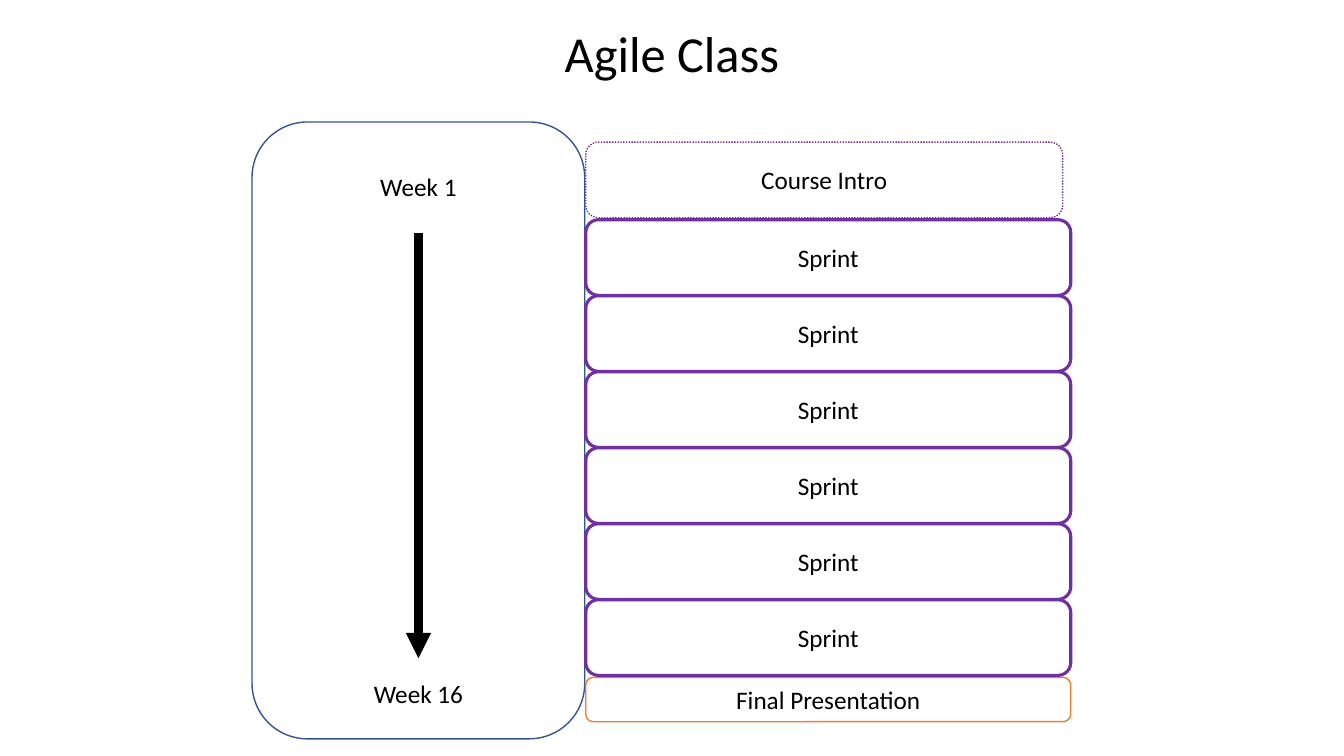
from lxml import etree
from pptx import Presentation
from pptx.dml.color import RGBColor
from pptx.enum.dml import MSO_LINE
from pptx.enum.shapes import MSO_CONNECTOR, MSO_SHAPE
from pptx.enum.text import MSO_ANCHOR, PP_ALIGN
from pptx.oxml.ns import qn
from pptx.util import Inches, Pt

ROUNDED = MSO_SHAPE.ROUNDED_RECTANGLE
RECTANGLE = MSO_SHAPE.RECTANGLE
STRAIGHT = MSO_CONNECTOR.STRAIGHT
DOTTED = MSO_LINE.ROUND_DOT
CENTER = PP_ALIGN.CENTER
TOP = MSO_ANCHOR.TOP
MIDDLE = MSO_ANCHOR.MIDDLE

COLORS = {
    "white": "FFFFFF",
    "black": "000000",
    "timeline": "325491",
    "sprint": "7030A0",
    "final": "ED7D31",
}
SPRINT_COUNT = 6
SPRINT_PITCH = 0.754
SPRINT_HEIGHT = 0.75


def color(name):
    return RGBColor.from_string(COLORS[name])


def write_text(shape, text, size=18, anchor=MIDDLE):
    frame = shape.text_frame
    frame.word_wrap = True
    frame.vertical_anchor = anchor
    paragraph = frame.paragraphs[0]
    paragraph.text = text
    paragraph.alignment = CENTER
    font_format = {"name": "Calibri", "size": Pt(size), "bold": False}
    for attribute, value in font_format.items():
        setattr(paragraph.font, attribute, value)
    paragraph.font.color.rgb = color("black")


def add_box(slide, kind, box, fill=None, line=None, width=1, dash=None):
    shape = slide.shapes.add_shape(kind, *map(Inches, box))
    shape.shadow.inherit = False
    if fill:
        shape.fill.solid()
        shape.fill.fore_color.rgb = color(fill)
    else:
        shape.fill.background()
    if line:
        shape.line.color.rgb = color(line)
        shape.line.width = Pt(width)
        if dash:
            shape.line.dash_style = dash
    else:
        shape.line.fill.background()
    return shape


def add_title(slide, box):
    title = slide.shapes.title
    for attribute, value in zip(("left", "top", "width", "height"), box):
        setattr(title, attribute, Inches(value))
    write_text(title, "Agile Class", size=36, anchor=TOP)


def add_arrow(slide, x, top, bottom):
    arrow = slide.shapes.add_connector(
        STRAIGHT, Inches(x), Inches(top), Inches(x), Inches(bottom)
    )
    arrow.line.color.rgb = color("black")
    arrow.line.width = Pt(6)
    line = arrow.line._get_or_add_ln()
    etree.SubElement(line, qn("a:tailEnd"), type="triangle")
    etree.SubElement(arrow._element.spPr, qn("a:effectLst"))


def add_timeline(slide, box):
    left, top, width, height = box
    add_box(slide, ROUNDED, box, line="timeline")
    label_width, label_height = 2.71, 0.4
    label_left = left + (width - label_width) / 2
    labels = {"Week 1": top + 0.44, "Week 16": top + height - 0.65}
    for text, label_top in labels.items():
        label_box = (label_left, label_top, label_width, label_height)
        label = add_box(slide, RECTANGLE, label_box, fill="white")
        write_text(label, text, anchor=TOP)
    add_arrow(slide, left + width / 2, top + 1.1, top + height - 0.8)


def add_schedule(slide, box):
    left, top, width, height = box
    final_height = 0.44
    final_box = (left, top + height - final_height, width, final_height)
    final = add_box(slide, ROUNDED, final_box, "white", "final")
    write_text(final, "Final Presentation")

    intro_box = (left, top, width - 0.08, SPRINT_HEIGHT)
    intro = add_box(slide, ROUNDED, intro_box, "white", "sprint", dash=DOTTED)
    write_text(intro, "Course Intro")

    for index in range(SPRINT_COUNT):
        sprint_top = top + 0.77 + index * SPRINT_PITCH
        sprint_box = (left, sprint_top, width, SPRINT_HEIGHT)
        sprint = add_box(slide, ROUNDED, sprint_box, "white", "sprint", 2.25)
        write_text(sprint, "Sprint")


def main():
    presentation = Presentation()
    presentation.slide_width = Inches(13.33)
    presentation.slide_height = Inches(7.5)
    slide = presentation.slides.add_slide(presentation.slide_layouts[5])
    add_title(slide, (2, 0.17, 9.33, 0.71))
    add_timeline(slide, (2.5, 1.21, 3.3, 6.12))
    add_schedule(slide, (5.81, 1.41, 4.81, 5.75))
    presentation.save("out.pptx")


if __name__ == "__main__":
    main()
